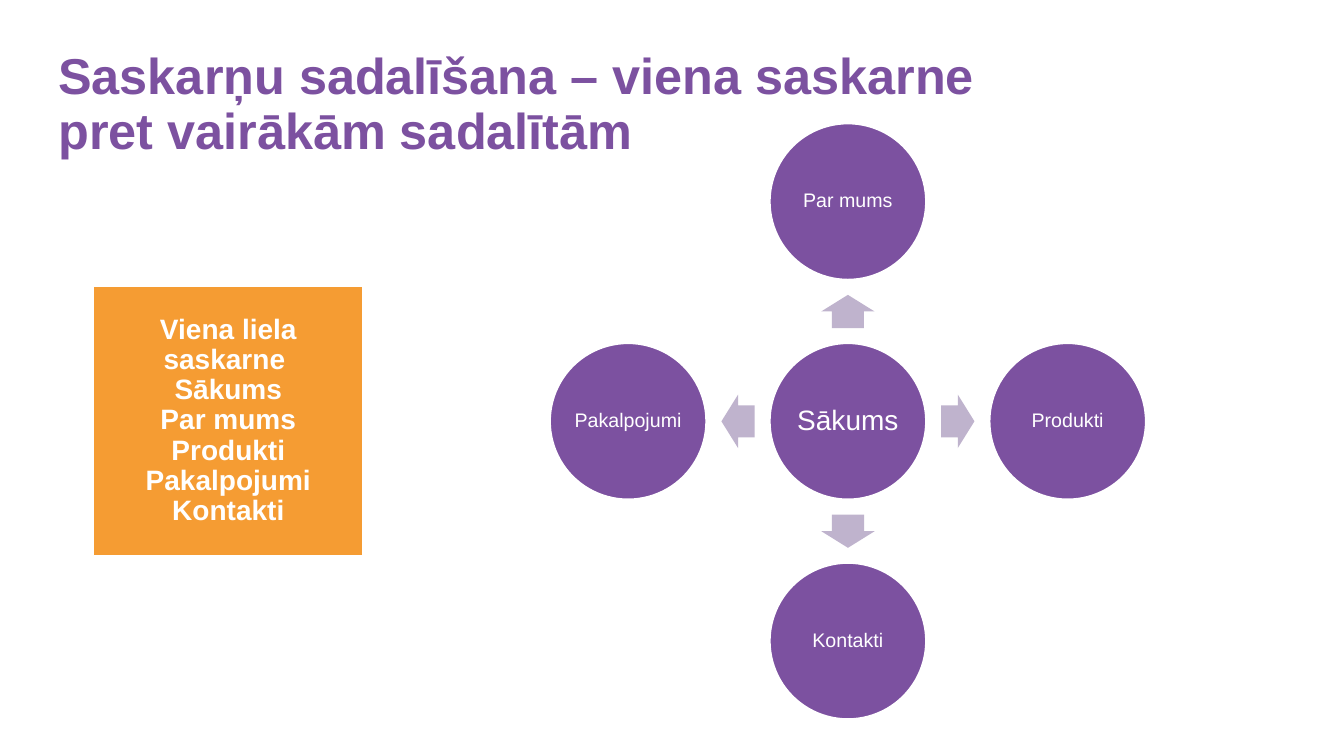
from dataclasses import dataclass

from pptx import Presentation
from pptx.dml.color import RGBColor
from pptx.enum.shapes import MSO_SHAPE
from pptx.enum.text import MSO_ANCHOR, PP_ALIGN
from pptx.util import Inches, Pt

RECT = MSO_SHAPE.RECTANGLE
OVAL = MSO_SHAPE.OVAL
ARROW = MSO_SHAPE.RIGHT_ARROW
TOP = MSO_ANCHOR.TOP
MIDDLE = MSO_ANCHOR.MIDDLE
LEFT = PP_ALIGN.LEFT
CENTER = PP_ALIGN.CENTER


@dataclass(frozen=True)
class Theme:
    font: str = "Arial"
    purple: RGBColor = RGBColor(0x7C, 0x51, 0xA0)
    lilac: RGBColor = RGBColor(0xBF, 0xB3, 0xCD)
    orange: RGBColor = RGBColor(0xF5, 0x9C, 0x33)
    white: RGBColor = RGBColor(0xFF, 0xFF, 0xFF)
    title: int = 36
    main: int = 20
    small: int = 14


THEME = Theme()


def write(shape, text, size, color, bold=False, align=CENTER, anchor=MIDDLE, inset=(0.02, 0.02)):
    frame = shape.text_frame
    frame.text = text
    frame.vertical_anchor = anchor
    frame.margin_left = frame.margin_right = Inches(inset[0])
    frame.margin_top = frame.margin_bottom = Inches(inset[1])
    for line in frame.paragraphs:
        line.alignment = align
        line.line_spacing = 0.9
        for run in line.runs:
            run.font.name = THEME.font
            run.font.size = Pt(size)
            run.font.bold = bold
            run.font.color.rgb = color
    return frame


def add_form(slide, kind, box, fill, edge=0):
    shape = slide.shapes.add_shape(kind, *map(Inches, box))
    shape.shadow.inherit = False
    shape.fill.solid()
    shape.fill.fore_color.rgb = fill
    if edge:
        shape.line.color.rgb = THEME.white
        shape.line.width = Pt(edge)
    else:
        shape.line.fill.background()
    return shape


def add_title(slide, box, text):
    shape = slide.shapes.add_textbox(*map(Inches, box))
    frame = write(shape, text, THEME.title, THEME.purple, True, LEFT, TOP, (0.1, 0.05))
    frame.word_wrap = True


def add_panel(slide, box, lines):
    shape = add_form(slide, RECT, box, THEME.orange, 1)
    frame = write(shape, "\n".join(lines), THEME.main, THEME.white, True, inset=(0.08, 0.08))
    frame.word_wrap = True


def add_hub(slide, box, hub, spokes):
    left, top, width, height = box
    mid_x, mid_y = left + width / 2, top + height / 2
    disc = 1.56
    step = (width - disc) / 2
    long, wide = 0.33, 0.53

    def add_disc(x, y, text, size):
        place = (x - disc / 2, y - disc / 2, disc, disc)
        shape = add_form(slide, OVAL, place, THEME.purple, 2)
        write(shape, text, size, THEME.white).word_wrap = False

    add_disc(mid_x, mid_y, hub, THEME.main)
    for text, dx, dy, turn in spokes:
        x, y = mid_x + dx * step / 2, mid_y + dy * step / 2
        place = (x - long / 2, y - wide / 2, long, wide)
        arrow = add_form(slide, ARROW, place, THEME.lilac)
        arrow.adjustments[0] = 0.6
        arrow.adjustments[1] = 0.5
        arrow.rotation = turn
        add_disc(mid_x + dx * step, mid_y + dy * step, text, THEME.small)


def main():
    deck = Presentation()
    deck.slide_width = Inches(13.33)
    deck.slide_height = Inches(7.5)
    slide = deck.slides.add_slide(deck.slide_layouts[6])
    add_panel(
        slide,
        (0.93, 2.84, 2.67, 2.67),
        ["Viena liela saskarne ", "Sākums", "Par mums", "Produkti", "Pakalpojumi", "Kontakti"],
    )
    add_title(
        slide,
        (0.48, 0.46, 9.38, 1.41),
        "Saskarņu sadalīšana – viena saskarne pret vairākām sadalītām",
    )
    add_hub(
        slide,
        (5.45, 1.22, 5.92, 5.92),
        "Sākums",
        [
            ("Par mums", 0, -1, 270),
            ("Produkti", 1, 0, 0),
            ("Kontakti", 0, 1, 90),
            ("Pakalpojumi", -1, 0, 180),
        ],
    )
    deck.save("out.pptx")


if __name__ == "__main__":
    main()
